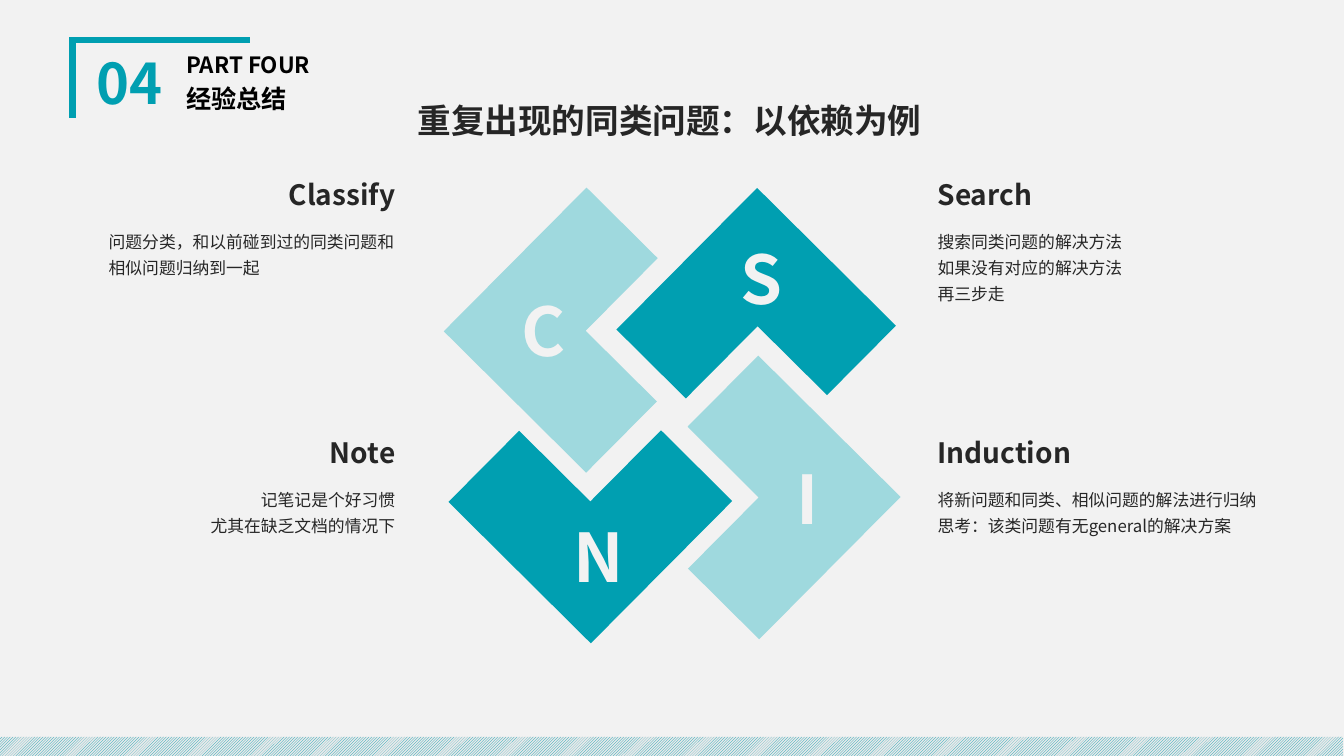
from lxml import etree
from pptx import Presentation
from pptx.dml.color import RGBColor
from pptx.enum.dml import MSO_PATTERN
from pptx.enum.shapes import MSO_SHAPE
from pptx.enum.text import MSO_ANCHOR, MSO_AUTO_SIZE, PP_ALIGN
from pptx.oxml.ns import qn
from pptx.util import Inches, Pt

LEFT, CENTER, RIGHT = PP_ALIGN.LEFT, PP_ALIGN.CENTER, PP_ALIGN.RIGHT
TOP, MIDDLE = MSO_ANCHOR.TOP, MSO_ANCHOR.MIDDLE
CORNER, RECT = MSO_SHAPE.CORNER, MSO_SHAPE.RECTANGLE
UP_DIAG = MSO_PATTERN.LIGHT_UPWARD_DIAGONAL
NO_FIT = MSO_AUTO_SIZE.NONE

FONT = "Noto Sans CJK SC"
COLORS = {"teal": "009FB1", "pale": "9FD9DE", "paper": "F2F2F2",
          "stripe": "E9E9E9", "ink": "262626", "black": "000000"}

TITLE = ("重复出现的同类问题：以依赖为例", (4.04, 0.94, 5.25, 0.5))
HEADER = [
    ("04", (0.82, 0.49, 0.93, 0.73), 40, "teal", CENTER),
    ("PART FOUR", (1.75, 0.49, 2.67, 0.34), 16, "black", LEFT),
    ("经验总结", (1.75, 0.78, 2.67, 0.44), 18, "black", LEFT),
]
FRAME = [(0.72, 1.17), (0.72, 0.4), (2.48, 0.4)]
PIECES = [
    ("C", (4.82, 2.27, 1.99, 2.01), "pale", (5.06, 2.82, 0.66, 0.91)),
    ("S", (6.51, 2.28, 1.98, 1.94), "teal", (7.25, 2.31, 0.61, 0.91)),
    ("I", (6.53, 3.94, 1.99, 1.99), "pale", (7.8, 4.49, 0.43, 0.91)),
    ("N", (4.86, 3.98, 1.99, 1.99), "teal", (5.55, 5.06, 0.77, 0.91)),
]
STEPS = [
    ("Classify", ["问题分类，和以前碰到过的同类问题和相似问题归纳到一起"], 0, 0, LEFT),
    ("Search", ["搜索同类问题的解决方法", "如果没有对应的解决方法", "再三步走"], 1, 0, LEFT),
    ("Note", ["记笔记是个好习惯", "尤其在缺乏文档的情况下"], 0, 1, RIGHT),
    ("Induction", ["将新问题和同类、相似问题的解法进行归纳",
                   "思考：该类问题有无general的解决方案"], 1, 1, LEFT),
]
COLUMNS = [(0.98, 3.04, RIGHT), (9.2, 3.55, LEFT)]
HEAD_TOPS = [1.71, 4.27]


def rgb(name):
    return RGBColor.from_string(COLORS[name])


def box(at):
    return [Inches(v) for v in at]


def write(sp, lines, size, color, align=LEFT, bold=False, spacing=1.0, anchor=TOP, wrap=True):
    tf = sp.text_frame
    for name, value in {"word_wrap": wrap, "auto_size": NO_FIT, "vertical_anchor": anchor}.items():
        setattr(tf, name, value)
    for i, line in enumerate(lines):
        p = tf.add_paragraph() if i else tf.paragraphs[0]
        p.alignment, p.line_spacing = align, spacing
        r = p.add_run()
        r.text = line
        for name, value in {"size": Pt(size), "bold": bold, "name": FONT}.items():
            setattr(r.font, name, value)
        r.font.color.rgb = rgb(color)
        etree.SubElement(r.font._element, qn("a:ea"), typeface=FONT)


def add_text(s, at, *args, **kwargs):
    write(s.shapes.add_textbox(*box(at)), *args, **kwargs)


def add_frame(s):
    start, *rest = [box(point) for point in FRAME]
    builder = s.shapes.build_freeform(*start)
    builder.add_line_segments(rest, close=False)
    sp = builder.convert_to_shape()
    sp.shadow.inherit = False
    sp.fill.background()
    sp.line.color.rgb = rgb("teal")
    sp.line.width = Pt(4.5)
    etree.SubElement(sp.line._ln, qn("a:miter"), lim="800000")


def add_shape(s, kind, at):
    sp = s.shapes.add_shape(kind, *box(at))
    sp.shadow.inherit = False
    sp.line.fill.background()
    return sp


def main():
    prs = Presentation()
    prs.slide_width, prs.slide_height = Inches(13.33), Inches(7.5)
    s = prs.slides.add_slide(prs.slide_layouts[5])
    s.background.fill.solid()
    s.background.fill.fore_color.rgb = rgb("paper")

    add_frame(s)
    fill = add_shape(s, RECT, (-0.03, 7.31, 13.35, 0.22)).fill
    fill.patterned()
    fill.pattern = UP_DIAG
    fill.fore_color.rgb, fill.back_color.rgb = rgb("teal"), rgb("stripe")

    for text, at, size, color, align in HEADER:
        add_text(s, at, [text], size, color, align, bold=True, spacing=0.9, anchor=MIDDLE)

    for i, (letter, at, color, letter_at) in enumerate(PIECES):
        sp = add_shape(s, CORNER, at)
        sp.rotation = 44.8 + 90 * i
        sp.fill.solid()
        sp.fill.fore_color.rgb = rgb(color)
    for letter, at, color, letter_at in PIECES:
        add_text(s, letter_at, [letter], 48, "paper", CENTER, bold=True, wrap=False)

    for head, lines, col, row, align in STEPS:
        left, width, head_align = COLUMNS[col]
        top = HEAD_TOPS[row]
        add_text(s, (left, top, width, 0.44), [head], 20, "ink", head_align, bold=True)
        add_text(s, (left, top + 0.48, width, 0.08 + 0.26 * max(2, len(lines))),
                 lines, 12, "ink", align, spacing=1.3)

    title = s.shapes.title
    text, at = TITLE
    title.left, title.top, title.width, title.height = box(at)
    write(title, [text], 24, "ink", bold=True, wrap=False)
    prs.save("out.pptx")


if __name__ == "__main__":
    main()
